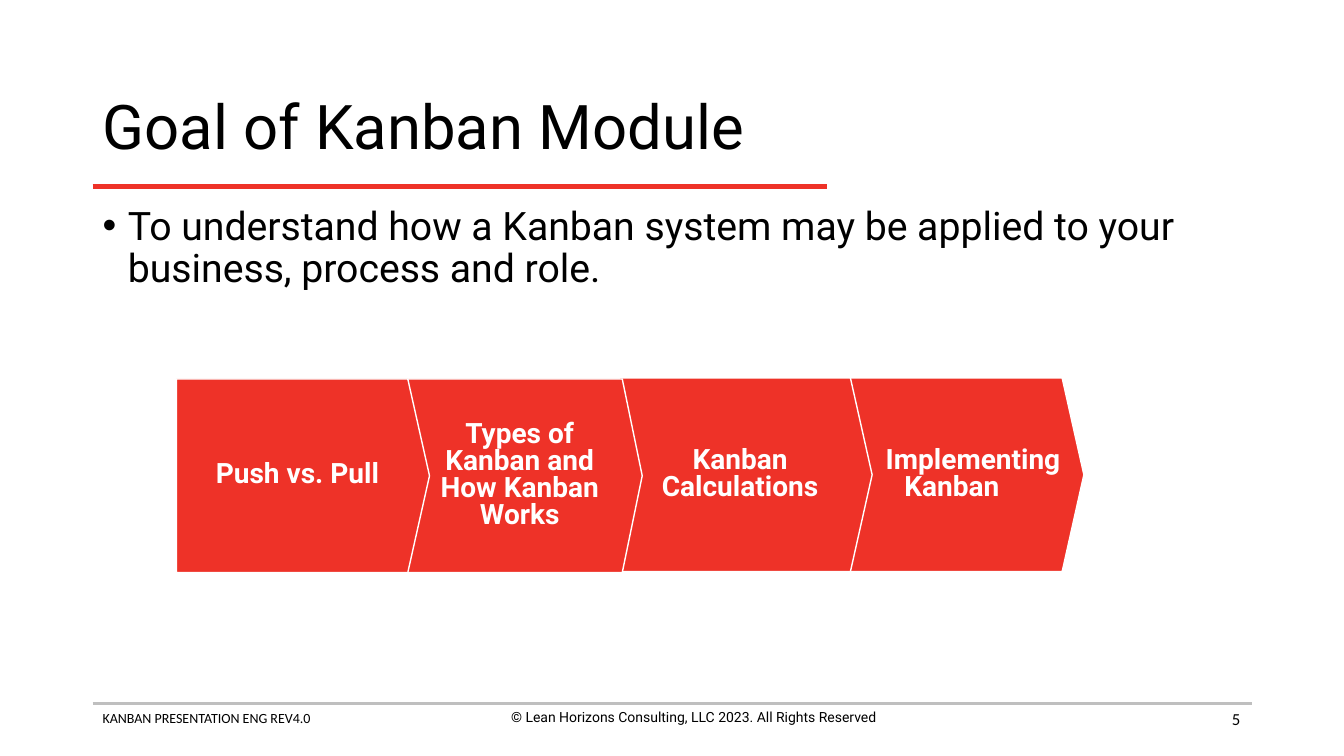
from lxml import etree
from pptx import Presentation, util as u
from pptx.dml.color import RGBColor
from pptx.enum import shapes, text
from pptx.oxml.ns import qn

PX = 9144  # EMU per px, 100 px to the inch
COLORS = {"red": "EE3228", "gray": "BFBFBF", "black": "000000", "white": "FFFFFF"}
ALIGN, ANCHOR = text.PP_ALIGN, text.MSO_ANCHOR


def px(n):
    return u.Emu(n * PX)


def rgb(name):
    return RGBColor.from_string(COLORS[name])


def write(tf, words, size, font="Roboto", color="black", bold=False,
          align=ALIGN.LEFT, anchor=ANCHOR.TOP, spacing=None, bullet=None, margin=0, indent=0):
    """Fill a text frame with one formatted paragraph."""
    tf.word_wrap = True
    tf.vertical_anchor = anchor
    p = tf.paragraphs[0]
    pPr = p._p.get_or_add_pPr()
    if margin or indent:
        pPr.set("marL", str(px(margin)))
        pPr.set("indent", str(px(indent)))
    p.alignment = align
    if spacing:
        p.line_spacing = spacing
    if bullet:
        etree.SubElement(pPr, qn("a:buFont"), typeface="Arial")
        etree.SubElement(pPr, qn("a:buChar"), char=bullet)
    r = p.add_run()
    r.text = words
    r.font.name, r.font.size, r.font.bold = font, u.Pt(size), bold
    r.font.color.rgb = rgb(color)


class Deck:
    def __init__(self, width, height):
        self.prs = Presentation()
        self.prs.slide_width, self.prs.slide_height = px(width), px(height)
        self.s = self.prs.slides.add_slide(self.prs.slide_layouts[6])

    def rule(self, x1, x2, y, color, weight):
        line = self.s.shapes.add_connector(
            shapes.MSO_CONNECTOR.STRAIGHT, px(x1), px(y), px(x2), px(y))
        line.line.color.rgb = rgb(color)
        line.line.width = u.Pt(weight)
        etree.SubElement(line._element.spPr, qn("a:effectLst"))

    def text(self, x, y, w, h, words, size, **fmt):
        sp = self.s.shapes.add_textbox(px(x), px(y), px(w), px(h))
        write(sp.text_frame, words, size, **fmt)

    def step(self, x, y, w, h, point, words, indent=0):
        sp = self.s.shapes.add_shape(shapes.MSO_SHAPE.PENTAGON, px(x), px(y), px(w), px(h))
        sp.adjustments[0] = point
        sp.shadow.inherit = False
        sp.fill.solid()
        sp.fill.fore_color.rgb = rgb("red")
        sp.line.color.rgb = rgb("white")
        sp.line.width = u.Pt(1)
        write(sp.text_frame, words, 20, color="white", bold=True, align=ALIGN.CENTER,
              anchor=ANCHOR.MIDDLE, spacing=0.8, indent=indent)


def main():
    d = Deck(1333, 750)

    # Footer
    d.rule(92, 1242, 698, "gray", 2)
    d.text(92, 699, 456, 44, "KANBAN PRESENTATION ENG REV4.0", 10, font="Calibri")
    d.text(460, 698, 456, 44, "© Lean Horizons Consulting, LLC 2023. All Rights Reserved", 10,
           align=ALIGN.CENTER)
    d.text(940, 693, 300, 40, "5", 12, font="Calibri", align=ALIGN.RIGHT, anchor=ANCHOR.MIDDLE)

    # Title and goal
    d.rule(92, 820, 185, "red", 3)
    d.text(92, 74, 1150, 110, "Goal of Kanban Module", 44, anchor=ANCHOR.MIDDLE, spacing=0.9)
    d.text(92, 200, 1150, 476,
           "To understand how a Kanban system may be applied to your business, process and role.",
           28, spacing=0.9, bullet="•", margin=25, indent=-25)

    # Process steps, last one at the back so each point overlaps the next
    steps = [
        (824, 375, 251, 0.112, "Implementing Kanban", 42),
        (614, 375, 251, 0.112, "Kanban Calculations", 0),
        (404, 376, 233, 0.103, "Types of Kanban and How Kanban Works", 0),
        (175, 376, 251, 0.112, "Push vs. Pull", 0),
    ]
    for x, y, w, point, words, indent in steps:
        d.step(x, y, w, 192, point, words, indent)

    d.prs.save("out.pptx")


if __name__ == "__main__":
    main()
